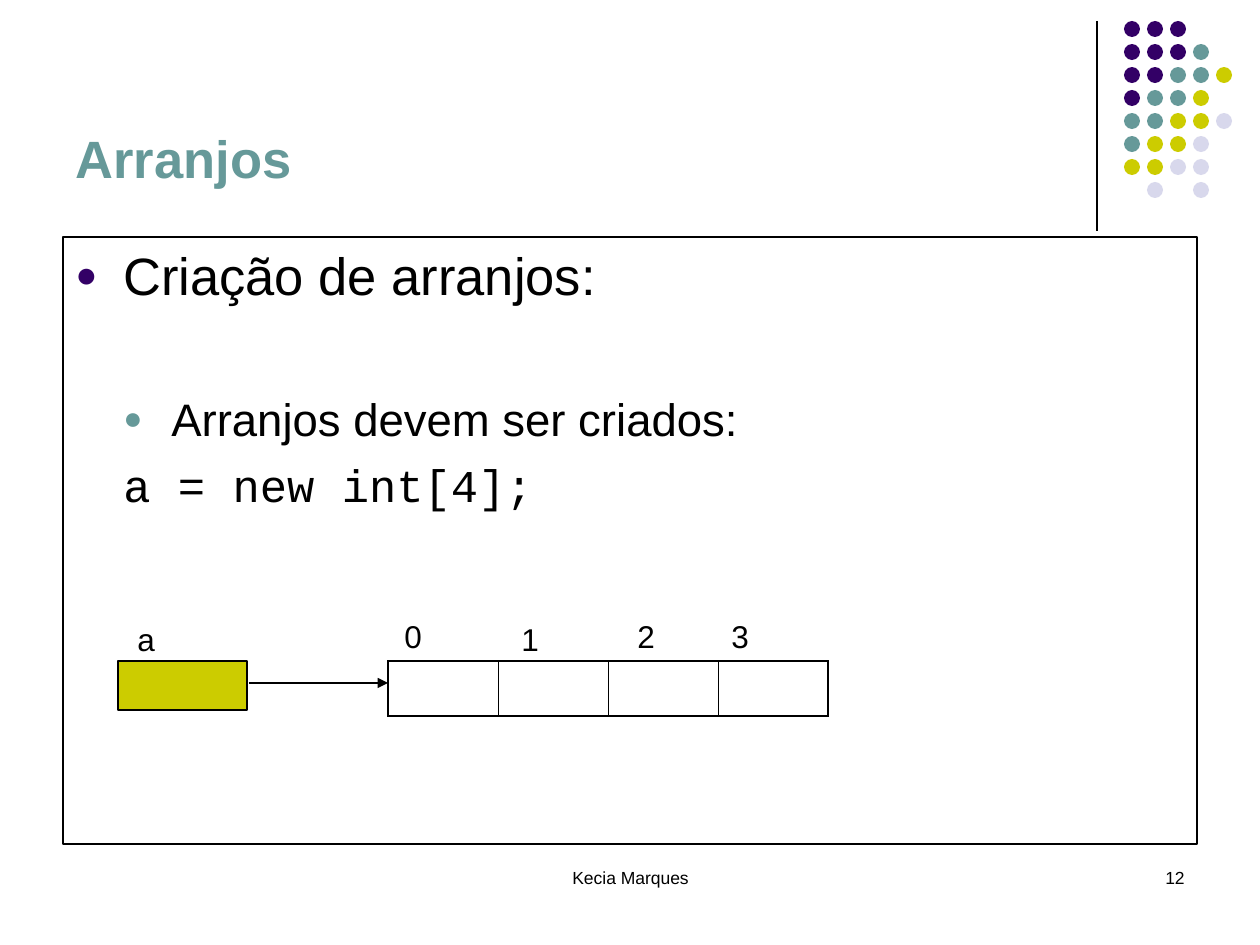
from lxml import etree
from pptx import Presentation
from pptx import util as u
from pptx.dml.color import RGBColor
from pptx.enum import shapes, text
from pptx.oxml import ns

PX = 914400 / 126
BLACK = RGBColor(0, 0, 0)
PLUM = RGBColor(0x33, 0x00, 0x66)
TEAL = RGBColor(0x66, 0x99, 0x99)
LIME = RGBColor(0xCC, 0xCC, 0x00)
MIST = RGBColor(0xD8, 0xD8, 0xEC)
DOTS = ["PPP", "PPPT", "PPTTL", "PTTL", "TTLLM", "TLLM", "LLMM", " M M"]
HUES = {"P": PLUM, "T": TEAL, "L": LIME, "M": MIST}


def px(n):
    return u.Emu(round(n * PX))


def sub(node, tag, **attrs):
    return etree.SubElement(node, ns.qn(tag), attrs)


def add_run(para, words, size, color=BLACK, font="Arial", bold=False):
    run = para.add_run()
    run.text = words
    run.font.size = u.Pt(size)
    run.font.name = font
    run.font.bold = bold
    run.font.color.rgb = color


def add_shape(slide, kind, box, fill=None, line=None):
    item = slide.shapes.add_shape(kind, *map(px, box))
    item.shadow.inherit = False
    if fill is None:
        item.fill.background()
    else:
        item.fill.solid()
        item.fill.fore_color.rgb = fill
    if line is None:
        item.line.fill.background()
    else:
        item.line.color.rgb = line
        item.line.width = u.Pt(0.75)
    return item


def add_line(slide, start, end, arrow=False):
    line = slide.shapes.add_connector(
        shapes.MSO_CONNECTOR.STRAIGHT, *map(px, start + end))
    line.line.color.rgb = BLACK
    line.line.width = u.Pt(0.75)
    if arrow:
        sub(line.line._get_or_add_ln(), "a:tailEnd", type="triangle")
    sub(line._element.spPr, "a:effectLst")


def add_label(slide, box, words, size, align=text.PP_ALIGN.LEFT):
    frame = slide.shapes.add_textbox(*map(px, box)).text_frame
    frame.word_wrap = True
    para = frame.paragraphs[0]
    para.alignment = align
    add_run(para, words, size)


def add_dots(slide, left, top, step=23, size=16):
    for row, marks in enumerate(DOTS):
        for col, mark in enumerate(marks):
            if mark in HUES:
                box = (left + col * step, top + row * step, size, size)
                add_shape(slide, shapes.MSO_SHAPE.OVAL, box, HUES[mark])


def add_title(slide, box, words):
    title = slide.shapes.title
    title.left, title.top, title.width, title.height = map(px, box)
    frame = title.text_frame
    frame.auto_size = text.MSO_AUTO_SIZE.NONE
    frame.vertical_anchor = text.MSO_ANCHOR.BOTTOM
    para = frame.paragraphs[0]
    para.alignment = text.PP_ALIGN.LEFT
    add_run(para, words, 30, TEAL, bold=True)


def add_body(slide, box):
    frame = add_shape(
        slide, shapes.MSO_SHAPE.RECTANGLE, box, line=BLACK).text_frame
    frame.word_wrap = True
    frame.vertical_anchor = text.MSO_ANCHOR.TOP
    lines = [
        ("Criação de arranjos:", 30, "Arial", 0, 7.5, PLUM),
        ("Arranjos devem ser criados:", 26, "Arial", 1, 48.5, TEAL),
        ("a = new int[4];", 26, "Courier New", 1, 6.5, None),
    ]
    for i, (words, size, font, level, gap, dot) in enumerate(lines):
        para = frame.add_paragraph() if i else frame.paragraphs[0]
        para.alignment = text.PP_ALIGN.LEFT
        para.level = level
        para.space_before = u.Pt(gap)
        props = para._p.get_or_add_pPr()
        props.set("marL", str(px(48 * (level + 1))))
        props.set("indent", str(px(-48)))
        if dot is not None:
            sub(sub(props, "a:buClr"), "a:srgbClr", val=str(dot))
            sub(props, "a:buSzPct", val="70000")
            sub(props, "a:buFont", typeface="Arial")
            sub(props, "a:buChar", char="●")
        add_run(para, words, size, font=font)


def add_edge(cell, side, width):
    edge = sub(cell._tc.get_or_add_tcPr(), "a:ln" + side, w=str(u.Pt(width)))
    sub(sub(edge, "a:solidFill"), "a:srgbClr", val=str(BLACK))


def add_cells(slide, box, count):
    table = slide.shapes.add_table(1, count, *map(px, box)).table
    table.first_row = table.horz_banding = False
    for i, cell in enumerate(table.iter_cells()):
        add_edge(cell, "L", 0.45 if i else 1.08)
        add_edge(cell, "R", 0.45 if i < count - 1 else 1.08)
        add_edge(cell, "T", 1.08)
        add_edge(cell, "B", 1.08)
        cell.fill.background()


def add_array(slide, left, top):
    add_shape(slide, shapes.MSO_SHAPE.RECTANGLE,
              (left, top, 129, 49), LIME, BLACK)
    add_cells(slide, (left + 270, top, 440, 55), 4)
    labels = [("a", 7, -47), ("0", 274, -50), ("1", 391, -47),
              ("2", 507, -50), ("3", 601, -50)]
    for words, x, y in labels:
        add_label(slide, (left + x, top + y, 43, 50), words, 18)
    add_line(slide, (left + 131, top + 22), (left + 270, top + 22), True)


def main():
    deck = Presentation()
    deck.slide_width, deck.slide_height = px(1260), px(945)
    slide = deck.slides.add_slide(deck.slide_layouts[5])
    add_line(slide, (1097, 21), (1097, 231))
    add_dots(slide, 1124, 21)
    add_label(slide, (431, 861, 399, 63), "Kecia Marques", 10,
              text.PP_ALIGN.CENTER)
    add_label(slide, (903, 861, 294, 63), "12", 10, text.PP_ALIGN.RIGHT)
    add_title(slide, (63, 16, 1040, 179), "Arranjos")
    add_body(slide, (63, 237, 1134, 607))
    add_array(slide, 118, 661)
    deck.save("out.pptx")


if __name__ == "__main__":
    main()
